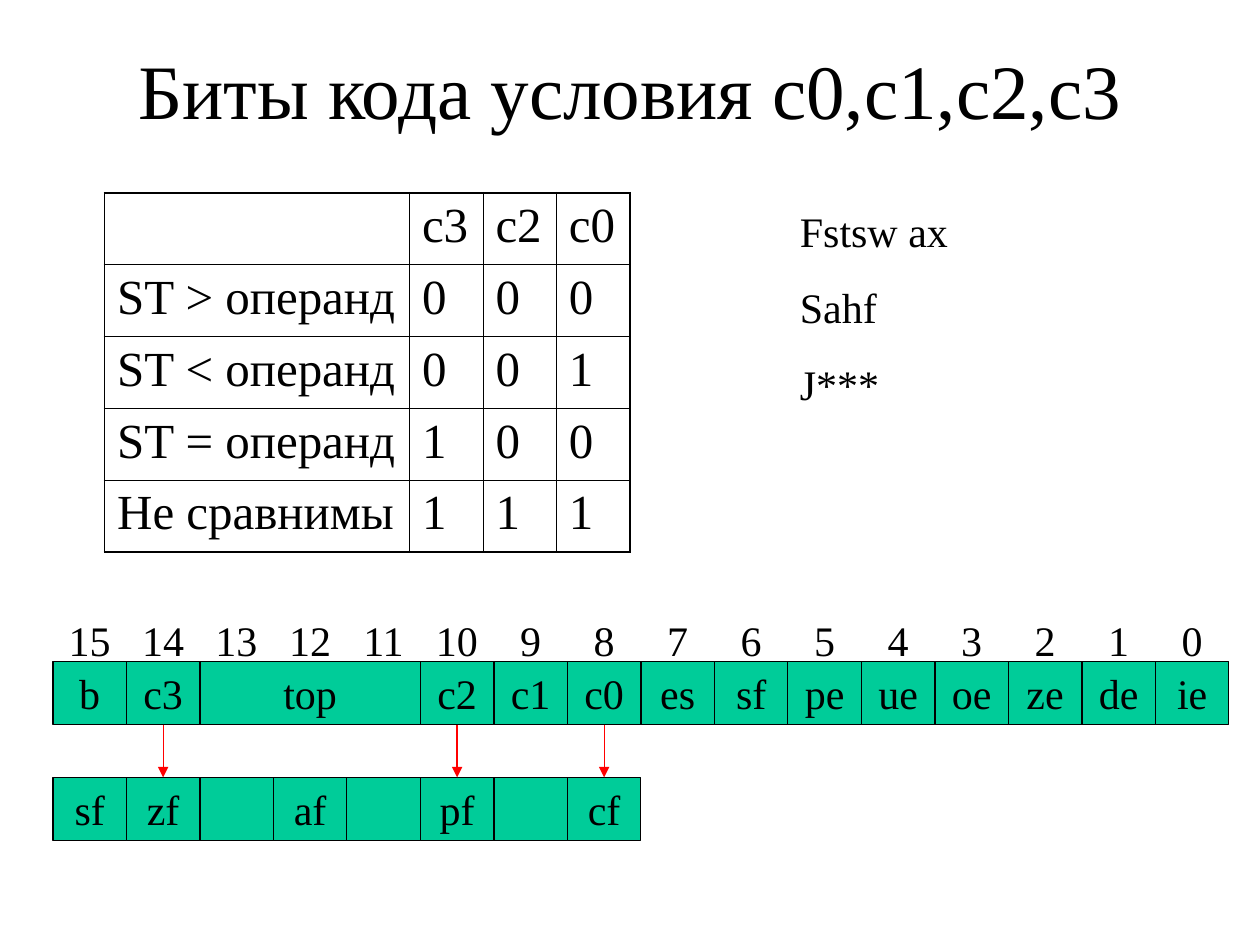
from lxml import etree
from pptx import Presentation
from pptx.dml.color import RGBColor
from pptx.enum.shapes import MSO_CONNECTOR, MSO_SHAPE
from pptx.enum.text import MSO_ANCHOR, MSO_AUTO_SIZE, PP_ALIGN
from pptx.oxml.ns import qn
from pptx.util import Inches, Pt

RECTANGLE = MSO_SHAPE.RECTANGLE
STRAIGHT = MSO_CONNECTOR.STRAIGHT
CENTER = PP_ALIGN.CENTER
MIDDLE = MSO_ANCHOR.MIDDLE
GROW = MSO_AUTO_SIZE.SHAPE_TO_FIT_TEXT

# Content
TITLE = "Биты кода условия с0,с1,с2,с3"
CONDITIONS = [
    ("", "c3", "c2", "c0"),
    ("ST > операнд", "0", "0", "0"),
    ("ST < операнд", "0", "0", "1"),
    ("ST = операнд", "1", "0", "0"),
    ("Не сравнимы", "1", "1", "1"),
]
COMMANDS = ["Fstsw ax", "Sahf", "J***"]
STATUS_WORD = [  # name, width in bits
    ("b", 1), ("c3", 1), ("top", 3), ("c2", 1), ("c1", 1), ("c0", 1), ("es", 1),
    ("sf", 1), ("pe", 1), ("ue", 1), ("oe", 1), ("ze", 1), ("de", 1), ("ie", 1),
]
FLAGS = [(name, 1) for name in ("sf", "zf", "", "af", "", "pf", "", "cf")]
TRANSFERS = [("c0", "cf"), ("c2", "pf"), ("c3", "zf")]

# Layout and style
FONT = "Times New Roman"
BLACK, GREEN, RED = "000000", "00CC99", "FF0000"
BITS = 16
BIT = 7 / 12  # width of one bit, inches
LEFT = 0.42
STATUS_TOP, FLAGS_TOP, BOX_HEIGHT = 5.25, 6.17, 0.5
INSET = 0.1
ROW_HEIGHT = 0.57
THIN, THICK = 0.45, 1.08


def color(value):
    return RGBColor.from_string(value)


def style(para, size, before=None, align=None):
    para.font.name = FONT
    para.font.size = Pt(size)
    para.font.color.rgb = color(BLACK)
    if before is not None:
        para.space_before = Pt(before)
    if align is not None:
        para.alignment = align


def add_text(page, lines, left, top, width, height):
    box = page.shapes.add_textbox(*map(Inches, (left, top, width, height)))
    frame = box.text_frame
    frame.word_wrap = True
    frame.auto_size = GROW
    frame.text = "\n".join(lines)
    for para in frame.paragraphs:
        style(para, 24, before=15)
    return box


def set_borders(cell, widths):
    properties = cell._tc.get_or_add_tcPr()
    for index, (side, width) in enumerate(zip("LRTB", widths)):
        line = etree.Element(qn(f"a:ln{side}"), w=str(Pt(width)))
        fill = etree.SubElement(line, qn("a:solidFill"))
        etree.SubElement(fill, qn("a:srgbClr"), val=BLACK)
        properties.insert(index, line)


def add_conditions(page):
    rows, columns = len(CONDITIONS), len(CONDITIONS[0])
    widths = [2.42] + [BIT] * (columns - 1)
    table = page.shapes.add_table(
        rows, columns, Inches(0.83), Inches(1.53),
        Inches(sum(widths)), Inches(ROW_HEIGHT * rows)).table
    table.first_row = table.horz_banding = False
    for column, width in zip(table.columns, widths):
        column.width = Inches(width)
    for r, values in enumerate(CONDITIONS):
        table.rows[r].height = Inches(ROW_HEIGHT)
        for c, value in enumerate(values):
            cell = table.cell(r, c)
            cell.text = value
            style(cell.text_frame.paragraphs[0], 28, before=7)
            cell.fill.background()
            outer = (c == 0, c == columns - 1, r == 0, r == rows - 1)
            set_borders(cell, [THICK if edge else THIN for edge in outer])


def add_register(page, fields, top):
    boxes, bit = {}, 0
    for name, width in fields:
        box = page.shapes.add_shape(
            RECTANGLE, Inches(LEFT + bit * BIT), Inches(top),
            Inches(width * BIT), Inches(BOX_HEIGHT))
        box.shadow.inherit = False
        box.fill.solid()
        box.fill.fore_color.rgb = color(GREEN)
        box.line.color.rgb = color(BLACK)
        box.line.width = Pt(0.75)
        frame = box.text_frame
        frame.word_wrap = False
        frame.vertical_anchor = MIDDLE
        frame.text = name
        style(frame.paragraphs[0], 24, align=CENTER)
        boxes[name] = box
        bit += width
    return boxes


def add_bit_numbers(page):
    numbers = "".join(f"\t{bit}" for bit in reversed(range(BITS)))
    box = add_text(page, [numbers], LEFT, 4.83, BITS * BIT, 0.5)
    # One centred tab stop over each bit
    properties = box.text_frame.paragraphs[0]._p.get_or_add_pPr()
    tabs = etree.SubElement(properties, qn("a:tabLst"))
    for index in range(BITS):
        position = Inches((index + 0.5) * BIT - INSET)
        etree.SubElement(tabs, qn("a:tab"), pos=str(position), algn="ctr")
    defaults = properties.find(qn("a:defRPr"))
    if defaults is not None:
        defaults.addprevious(tabs)


def add_arrow(page, source, target):
    arrow = page.shapes.add_connector(STRAIGHT, 0, 0, 0, 0)
    arrow.begin_connect(source, 2)
    arrow.end_connect(target, 0)
    arrow.line.color.rgb = color(RED)
    arrow.line.width = Pt(0.75)
    etree.SubElement(arrow.line._get_or_add_ln(), qn("a:tailEnd"), type="triangle")
    etree.SubElement(arrow._element.spPr, qn("a:effectLst"))


def main():
    deck = Presentation()
    deck.slide_width, deck.slide_height = Inches(10), Inches(7.5)
    page = deck.slides.add_slide(deck.slide_layouts[5])

    # Title
    title = page.shapes.title
    title.left, title.top = Inches(0.75), Inches(0.33)
    title.width, title.height = Inches(8.5), Inches(0.75)
    title.text_frame.text = TITLE
    title.text_frame.vertical_anchor = MIDDLE
    style(title.text_frame.paragraphs[0], 44, align=CENTER)

    # Comparison results and commands
    add_conditions(page)
    add_text(page, COMMANDS, 6.25, 1.58, 2.83, 1.72)

    # Status word, flags and the bits moved between them
    status = add_register(page, STATUS_WORD, STATUS_TOP)
    add_bit_numbers(page)
    flags = add_register(page, FLAGS, FLAGS_TOP)
    for source, target in TRANSFERS:
        add_arrow(page, status[source], flags[target])

    deck.save("out.pptx")


if __name__ == "__main__":
    main()
